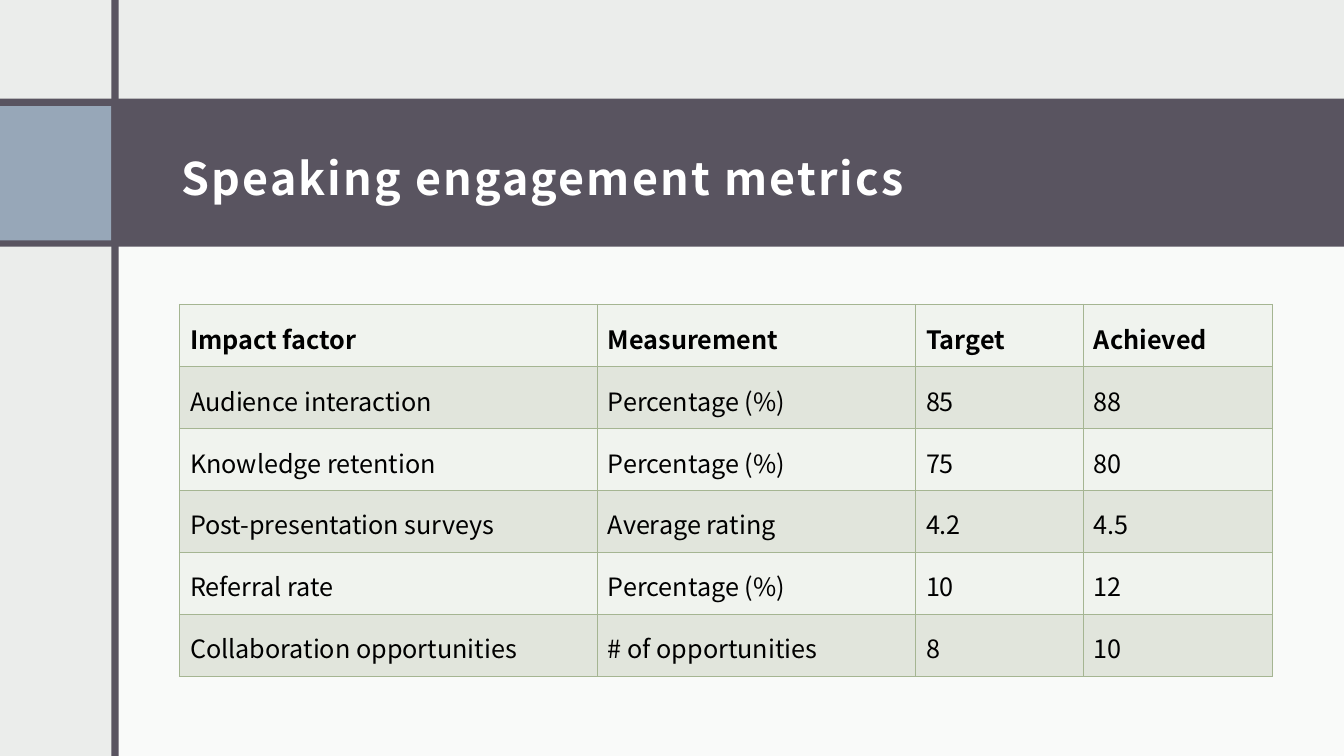
"""Build the speaking engagement metrics slide."""
from dataclasses import dataclass
from typing import Any, NamedTuple, Optional

from lxml.etree import SubElement
from pptx import Presentation
from pptx.dml.color import RGBColor
from pptx.enum.shapes import MSO_SHAPE
from pptx.enum.text import MSO_ANCHOR
from pptx.oxml.ns import qn
from pptx.util import Emu, Pt


@dataclass(frozen=True)
class Theme:
    font: str = "Noto Sans CJK JP"
    title_size: int = 32
    table_size: int = 18
    title_spacing: float = 1.5
    border_width: int = 1
    background: str = "EBEDEB"
    white: str = "FFFFFF"
    black: str = "000000"
    band: str = "595460"
    accent: str = "97A7B8"
    border: str = "A5B592"
    rows: tuple[str, str] = ("F0F3EE", "E1E5DC")


class Box(NamedTuple):
    left: int
    top: int
    width: int
    height: int


class Insets(NamedTuple):
    left: int
    top: int
    right: int
    bottom: int


class Block(NamedTuple):
    box: Box
    color: str
    opacity: Optional[int] = None


THEME = Theme()
EMU_PER_PX = 9525
WIDTH, HEIGHT = 1280, 720
BLOCKS = (
    Block(Box(109, 224, WIDTH - 109, HEIGHT - 224), THEME.white, 75),
    Block(Box(0, 94, WIDTH, 141), THEME.band),
    Block(Box(0, 101, 106, 128), THEME.accent),
    Block(Box(106, 0, 7, HEIGHT), THEME.band),
)
TITLE = "Speaking engagement metrics"
TITLE_BOX = Box(161, 101, 1051, 128)
TITLE_INSETS = Insets(12, 19, 12, 10)
TABLE_ORIGIN = (171, 290)
COLUMNS = (398, 303, 160, 180)
ROW_HEIGHT = 59
CELL_INSETS = Insets(10, 10, 10, 5)
METRICS = (
    ("Impact factor", "Measurement", "Target", "Achieved"),
    ("Audience interaction", "Percentage (%)", "85", "88"),
    ("Knowledge retention", "Percentage (%)", "75", "80"),
    ("Post-presentation surveys", "Average rating", "4.2", "4.5"),
    ("Referral rate", "Percentage (%)", "10", "12"),
    ("Collaboration opportunities", "# of opportunities", "8", "10"),
)


def px(value: int) -> Emu:
    return Emu(value * EMU_PER_PX)


def apply(target: Any, formats: dict[str, Any]) -> None:
    for name, value in formats.items():
        setattr(target, name, value)


def set_fill(fill: Any, color: str) -> None:
    fill.solid()
    fill.fore_color.rgb = RGBColor.from_string(color)


def set_frame(target: Any, insets: Insets) -> None:
    formats = {f"margin_{side}": px(value) for side, value in insets._asdict().items()}
    apply(target, formats | {"vertical_anchor": MSO_ANCHOR.MIDDLE})


def write(tf: Any, text: str, size: int, color: str, bold: bool, spacing: float = 0) -> None:
    r = tf.paragraphs[0].add_run()
    r.text = text
    apply(r.font, {"name": THEME.font, "size": Pt(size), "bold": bold})
    r.font.color.rgb = RGBColor.from_string(color)
    if spacing:
        r.font._element.set("spc", str(round(spacing * 100)))


def add_block(s: Any, block: Block) -> None:
    sp = s.shapes.add_shape(MSO_SHAPE.RECTANGLE, *map(px, block.box))
    sp.shadow.inherit = False
    set_fill(sp.fill, block.color)
    sp.line.fill.background()
    if block.opacity is not None:
        color = sp._element.spPr.find(qn("a:solidFill"))[0]
        SubElement(color, qn("a:alpha")).set("val", str(block.opacity * 1000))


def add_title(s: Any) -> None:
    tf = s.shapes.add_textbox(*map(px, TITLE_BOX)).text_frame
    tf.word_wrap = True
    set_frame(tf, TITLE_INSETS)
    write(tf, TITLE, THEME.title_size, THEME.white, True, THEME.title_spacing)


def set_borders(cell: Any) -> None:
    tc_pr = cell._tc.get_or_add_tcPr()
    for index, side in enumerate("LRTB"):
        line = SubElement(tc_pr, qn(f"a:ln{side}"), w=str(Pt(THEME.border_width)))
        fill = SubElement(line, qn("a:solidFill"))
        SubElement(fill, qn("a:srgbClr"), val=THEME.border)
        tc_pr.insert(index, line)


def add_metrics(s: Any) -> None:
    box = Box(*TABLE_ORIGIN, sum(COLUMNS), ROW_HEIGHT * len(METRICS))
    table = s.shapes.add_table(len(METRICS), len(COLUMNS), *map(px, box)).table
    for column, width in zip(table.columns, COLUMNS):
        column.width = px(width)
    for i, (row, texts) in enumerate(zip(table.rows, METRICS)):
        row.height = px(ROW_HEIGHT)
        for cell, text in zip(row.cells, texts):
            set_frame(cell, CELL_INSETS)
            set_fill(cell.fill, THEME.rows[i % 2])
            set_borders(cell)
            write(cell.text_frame, text, THEME.table_size, THEME.black, i == 0)


def main() -> None:
    prs = Presentation()
    apply(prs, {"slide_width": px(WIDTH), "slide_height": px(HEIGHT)})
    s = prs.slides.add_slide(prs.slide_layouts[6])
    set_fill(s.background.fill, THEME.background)
    for block in BLOCKS:
        add_block(s, block)
    add_title(s)
    add_metrics(s)
    prs.save("out.pptx")


if __name__ == "__main__":
    main()
